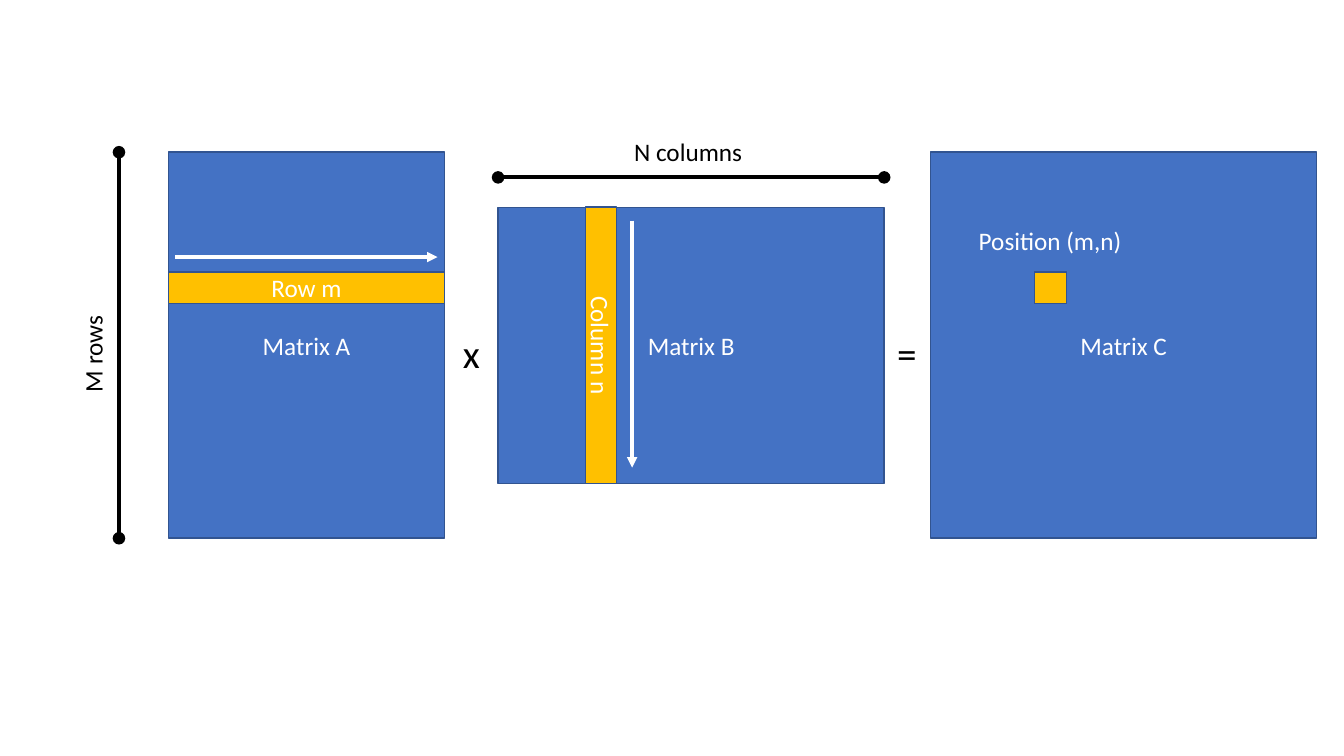
"""Draw a matrix product: row m of A times column n of B gives one cell of C."""
from dataclasses import dataclass

from pptx import Presentation, util as u
from pptx.dml.color import RGBColor
from pptx.enum import shapes, text
from pptx.oxml.ns import qn
from pptx.slide import Slide
from pptx.text.text import TextFrame

PX = 9144


@dataclass(frozen=True)
class Theme:
    font: str = "Calibri"
    matrix: str = "4472C4"
    highlight: str = "FFC000"
    edge: str = "325490"
    light: str = "FFFFFF"
    dark: str = "000000"
    body: int = 18
    operator: int = 28
    outline: float = 1
    arrow: float = 2.5
    measure: float = 3


T = Theme()


@dataclass(frozen=True)
class Box:
    label: str
    x: int
    y: int
    w: int
    h: int
    fill: str = T.matrix
    rotation: int = 0


@dataclass(frozen=True)
class Label:
    label: str
    x: int
    y: int
    w: int
    h: int = 40
    color: str = T.dark
    size: int = T.body
    rotation: int = 0


@dataclass(frozen=True)
class Line:
    x1: int
    y1: int
    x2: int
    y2: int
    color: str
    width: float
    head: str
    tail: str


TOP, LONG, SHORT, BAND = 151, 383, 274, 31
A_X, B_X, C_X = 167, 494, 923
B_Y = TOP + (LONG - SHORT + 1) // 2
ROW_Y, CELL_X = 270, 1026
COLUMN_MID_X, COLUMN_MID_Y = 596, 342

BOXES = [
    Box("Matrix A", A_X, TOP, SHORT, LONG),
    Box("Matrix C", C_X, TOP, LONG, LONG),
    Box("Row m", A_X, ROW_Y, SHORT, BAND, T.highlight),
    Box("", CELL_X, ROW_Y, BAND + 1, BAND, T.highlight),
    Box("Matrix B", B_X, B_Y, LONG, SHORT),
    Box("Column n", COLUMN_MID_X - SHORT // 2, COLUMN_MID_Y - BAND // 2,
        SHORT, BAND, T.highlight, 90),
]
LINES = [
    Line(118, TOP, 118, TOP + LONG, T.dark, T.measure, "oval", "oval"),
    Line(B_X, 176, B_X + LONG, 176, T.dark, T.measure, "oval", "oval"),
    Line(174, 255, 434, 255, T.light, T.arrow, "none", "triangle"),
    Line(627, 219, 627, 464, T.light, T.arrow, "none", "triangle"),
]
LABELS = [
    Label("x", 449, 322, 37, 57, size=T.operator),
    Label("=", 880, 322, 39, 57, size=T.operator),
    Label("Position (m,n)", 951, 219, 181, color=T.light),
    Label("M rows", 44, 331, 96, rotation=270),
    Label("N columns", 619, 130, 127),
]


def rgb(color: str) -> RGBColor:
    """Turn a hex string into a colour."""
    return RGBColor.from_string(color)


def write(tf: TextFrame, label: str, size: int, color: str) -> None:
    """Set one centred paragraph and format its runs."""
    tf.text = label
    p = tf.paragraphs[0]
    p.alignment = text.PP_ALIGN.CENTER
    for r in p.runs:
        r.font.name = T.font
        r.font.size = u.Pt(size)
        r.font.color.rgb = rgb(color)


def draw_box(s: Slide, box: Box) -> None:
    """Draw a filled rectangle with its label."""
    sp = s.shapes.add_shape(shapes.MSO_SHAPE.RECTANGLE, box.x * PX, box.y * PX,
                            box.w * PX, box.h * PX)
    sp.rotation = box.rotation
    sp.shadow.inherit = False
    sp.fill.solid()
    sp.fill.fore_color.rgb = rgb(box.fill)
    sp.line.color.rgb = rgb(T.edge)
    sp.line.width = u.Pt(T.outline)
    if box.label:
        sp.text_frame.vertical_anchor = text.MSO_ANCHOR.MIDDLE
        write(sp.text_frame, box.label, T.body, T.light)


def draw_line(s: Slide, line: Line) -> None:
    """Draw a straight line with its two end marks."""
    c = s.shapes.add_connector(shapes.MSO_CONNECTOR.STRAIGHT, line.x1 * PX,
                               line.y1 * PX, line.x2 * PX, line.y2 * PX)
    c.line.color.rgb = rgb(line.color)
    c.line.width = u.Pt(line.width)
    pr = c._element.spPr
    ln = pr.find(qn("a:ln"))
    for tag, kind in (("a:headEnd", line.head), ("a:tailEnd", line.tail)):
        ln.append(ln.makeelement(qn(tag), {"type": kind}))
    pr.append(pr.makeelement(qn("a:effectLst"), {}))


def draw_label(s: Slide, label: Label) -> None:
    """Draw free text in an unwrapped box."""
    sp = s.shapes.add_textbox(label.x * PX, label.y * PX,
                              label.w * PX, label.h * PX)
    sp.rotation = label.rotation
    tf = sp.text_frame
    write(tf, label.label, label.size, label.color)
    tf.word_wrap = False
    tf.auto_size = text.MSO_AUTO_SIZE.SHAPE_TO_FIT_TEXT


def main() -> None:
    """Build and save the slide."""
    prs = Presentation()
    prs.slide_width, prs.slide_height = u.Emu(1333 * PX), u.Emu(750 * PX)
    s = prs.slides.add_slide(prs.slide_layouts[6])
    for box in BOXES:
        draw_box(s, box)
    for line in LINES:
        draw_line(s, line)
    for label in LABELS:
        draw_label(s, label)
    prs.save("out.pptx")


if __name__ == "__main__":
    main()
